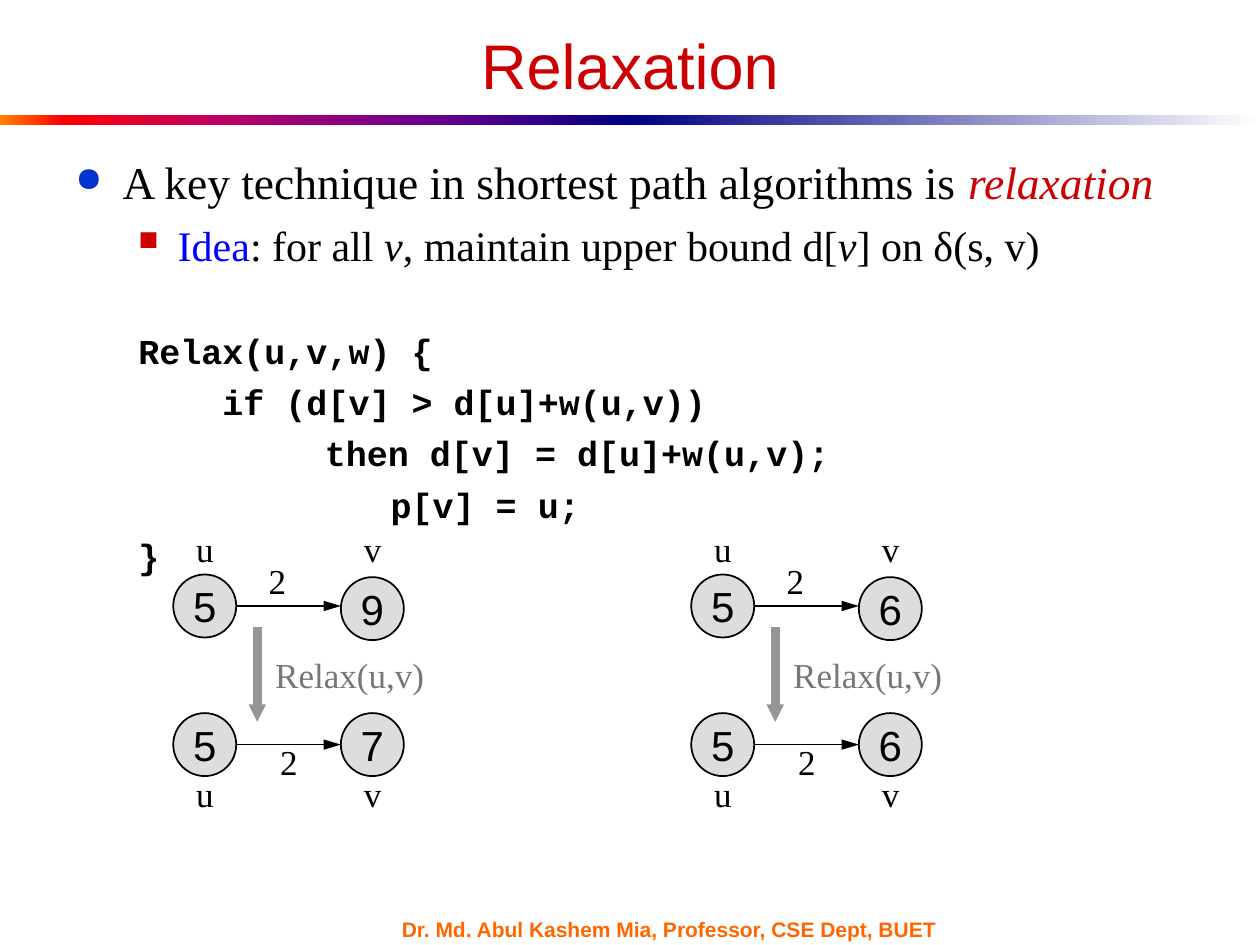
from lxml.etree import SubElement
from pptx import Presentation
from pptx.dml.color import RGBColor
from pptx.enum.shapes import MSO_CONNECTOR as Link, MSO_SHAPE as Form
from pptx.enum.text import MSO_ANCHOR as Anchor, PP_ALIGN as Align
from pptx.oxml.ns import qn
from pptx.util import Pt

BLACK = RGBColor(0x00, 0x00, 0x00)
RED = RGBColor(0xCC, 0x00, 0x00)
BLUE = RGBColor(0x00, 0x00, 0xFF)
ROYAL = RGBColor(0x00, 0x33, 0xCC)
ORANGE = RGBColor(0xFF, 0x66, 0x00)
PALE = RGBColor(0xDD, 0xDD, 0xDD)
GRAY = RGBColor(0x96, 0x96, 0x96)
DIM = RGBColor(0x77, 0x77, 0x77)
WARM = [(0, "FF8200"), (10, "FF0000"), (35, "BA0066"), (70, "66008F"), (100, "000082")]
COOL = [(0, "000082"), (100, "FFFFFF")]
SERIF, SANS, MONO = "Times New Roman", "Arial", "Courier New"
CODE = [
    "Relax(u,v,w) {",
    "    if (d[v] > d[u]+w(u,v))",
    "\t\t    then d[v] = d[u]+w(u,v);",
    "            p[v] = u;",
    "}",
]
NODE, SPAN = 36, 95.8


def style(font, name, size, color=BLACK, bold=False):
    """Set the look of a font."""
    font.name, font.size, font.bold = name, Pt(size), bold
    font.color.rgb = color


def add_bar(slide, left, stops):
    """Draw one half of the gradient rule."""
    bar = slide.shapes.add_shape(Form.RECTANGLE, Pt(left), Pt(65.7), Pt(360), Pt(6))
    bar.shadow.inherit = False
    bar.line.fill.background()
    bar.fill.gradient()
    bar.fill.gradient_angle = 0
    chain = bar.element.spPr.find(qn("a:gradFill")).find(qn("a:gsLst"))
    for old in list(chain):
        chain.remove(old)
    for pos, color in stops:
        stop = SubElement(chain, qn("a:gs"), pos=str(pos * 1000))
        SubElement(stop, qn("a:srgbClr"), val=color)


def add_box(slide, left, top, width, height):
    """Add an empty wrapping text box and return its frame."""
    box = slide.shapes.add_textbox(Pt(left), Pt(top), Pt(width), Pt(height))
    box.text_frame.word_wrap = True
    return box.text_frame


def add_label(slide, text, left, top, width=23.8, color=BLACK):
    """Write a short label."""
    para = add_box(slide, left, top, width, 31).paragraphs[0]
    para.text = text
    style(para.font, SERIF, 20, color)


def add_node(slide, text, left, top):
    """Draw a graph vertex with its value."""
    node = slide.shapes.add_shape(Form.OVAL, Pt(left), Pt(top), Pt(NODE), Pt(NODE))
    node.shadow.inherit = False
    node.fill.solid()
    node.fill.fore_color.rgb = PALE
    node.line.color.rgb = BLACK
    node.line.width = Pt(1)
    frame = node.text_frame
    frame.word_wrap = False
    frame.vertical_anchor = Anchor.MIDDLE
    para = frame.paragraphs[0]
    para.text = text
    para.alignment = Align.CENTER
    style(para.font, SANS, 24)


def add_arrow(slide, start, end, color, width, head):
    """Draw a straight arrow; head holds its width and length."""
    arrow = slide.shapes.add_connector(Link.STRAIGHT, *map(Pt, start + end))
    arrow.line.color.rgb = color
    arrow.line.width = Pt(width)
    line = arrow.line._get_or_add_ln()
    SubElement(line, qn("a:tailEnd"), type="triangle", w=head[0], len=head[1])
    SubElement(arrow.element.spPr, qn("a:effectLst"))


def indent(para, left, first):
    """Set the left margin and first-line indent."""
    props = para._p.get_or_add_pPr()
    props.set("marL", str(Pt(left)))
    props.set("indent", str(Pt(first)))
    return props


def add_bullet(para, sign, color, scale, left, first):
    """Give a paragraph a coloured bullet."""
    props = indent(para, left, first)
    SubElement(SubElement(props, qn("a:buClr")), qn("a:srgbClr"), val=str(color))
    SubElement(props, qn("a:buSzPct"), val=str(scale * 1000))
    SubElement(props, qn("a:buChar"), char=sign)


def add_runs(para, size, parts):
    """Fill a paragraph with coloured, partly italic runs."""
    style(para.font, SERIF, size)
    for text, color, slant in parts:
        run = para.add_run()
        run.text = text
        run.font.italic = slant
        run.font.color.rgb = color


def add_body(slide):
    """Write the bullets and the code."""
    frame = add_box(slide, 36, 84.3, 648, 340)
    para = frame.paragraphs[0]
    add_bullet(para, "●", ROYAL, 75, 27, -27)
    add_runs(para, 26, [
        ("A key technique in shortest path algorithms is ", BLACK, False),
        ("relaxation", RED, True),
    ])
    para = frame.add_paragraph()
    add_bullet(para, "■", RED, 65, 58.5, -22.5)
    para.space_before = Pt(6.3)
    add_runs(para, 24, [
        ("Idea", BLUE, False),
        (": for all ", BLACK, False),
        ("v", BLACK, True),
        (", maintain upper bound d[", BLACK, False),
        ("v", BLACK, True),
        ("] on δ(s, v)", BLACK, False),
    ])
    for row, text in enumerate(CODE):
        para = frame.add_paragraph()
        indent(para, 58.5, -22.5)
        para.space_before = Pt(5.3 if row else 34)
        para.text = text
        style(para.font, MONO, 20, bold=True)


def add_graph(slide, left, before, after):
    """Draw an edge before and after relaxing it."""
    rows = [(328.3, 298, 1.5, before, 47.5, 316), (407.5, 437.8, 0, after, 54, 419.8)]
    for top, name, drop, value, shift, cost in rows:
        mid = top + NODE / 2
        add_node(slide, "5", left, top)
        add_node(slide, value, left + SPAN, top + drop)
        add_arrow(slide, (left + NODE, mid), (left + SPAN, mid), BLACK, 1, ("med", "lg"))
        add_label(slide, "u", left + 6, name)
        add_label(slide, "v", left + 6 + SPAN, name)
        add_label(slide, "2", left + shift, cost)
    axis = left + 48
    add_arrow(slide, (axis, 358.5), (axis, 412.5), GRAY, 5, ("sm", "sm"))
    add_label(slide, "Relax(u,v)", left + 51.2, 370, 108, DIM)


def add_title(slide):
    """Place and format the title."""
    title = slide.shapes.title
    title.left, title.top, title.width, title.height = map(Pt, (36, 18, 648, 37))
    frame = title.text_frame
    frame.text = "Relaxation"
    frame.vertical_anchor = Anchor.MIDDLE
    para = frame.paragraphs[0]
    para.alignment = Align.CENTER
    style(para.font, SANS, 36, RED)


def add_foot(slide):
    """Write the footer line."""
    frame = add_box(slide, 222.5, 524.2, 336, 13)
    frame.vertical_anchor = Anchor.MIDDLE
    para = frame.paragraphs[0]
    para.text = "Dr. Md. Abul Kashem Mia, Professor, CSE Dept, BUET"
    style(para.font, SANS, 12, ORANGE, True)


def main():
    """Build the slide and save it."""
    deck = Presentation()
    deck.slide_width, deck.slide_height = Pt(720), Pt(540)
    slide = deck.slides.add_slide(deck.slide_layouts[5])
    add_bar(slide, 0, WARM)
    add_bar(slide, 360, COOL)
    add_foot(slide)
    add_title(slide)
    add_body(slide)
    add_graph(slide, 99, "9", "7")
    add_graph(slide, 395, "6", "6")
    deck.save("out.pptx")


if __name__ == "__main__":
    main()
